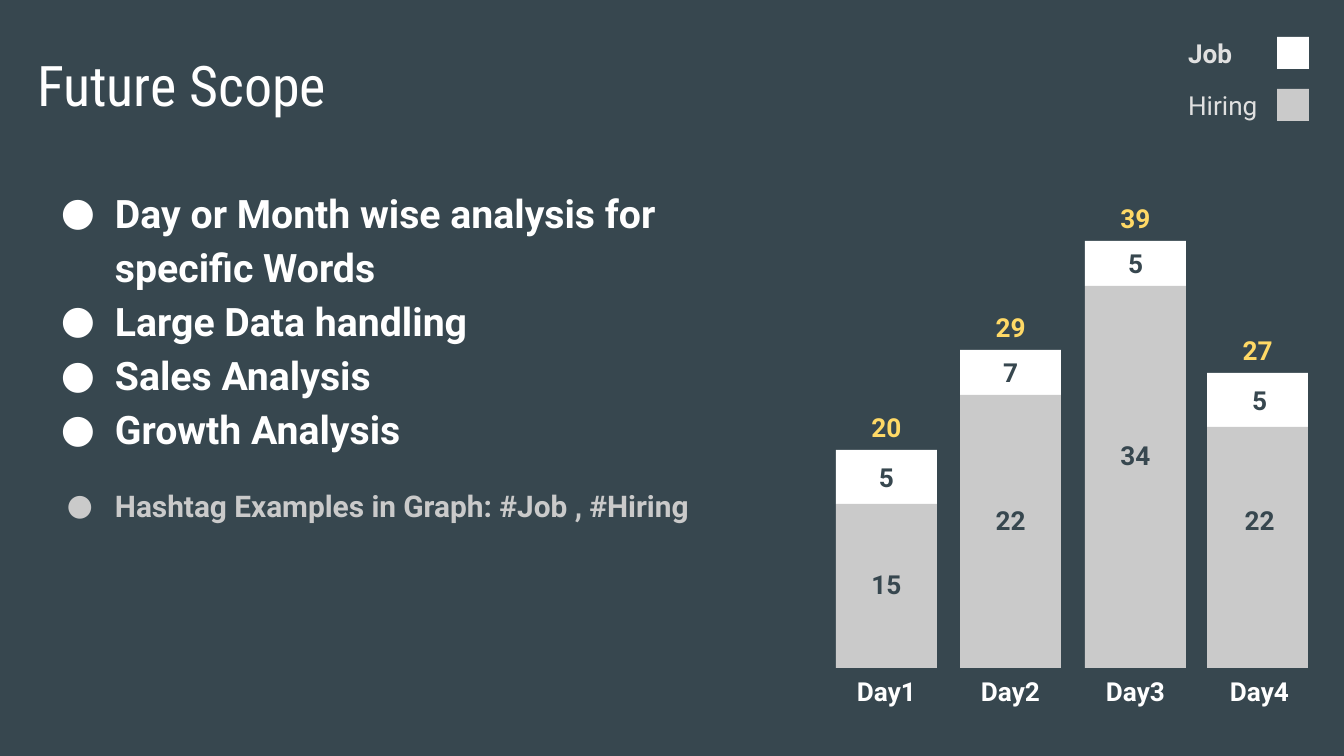
from dataclasses import dataclass

import lxml.etree
import pptx
import pptx.dml.color
import pptx.enum.shapes
import pptx.enum.text
import pptx.oxml.ns
import pptx.util

RGBColor = pptx.dml.color.RGBColor
Align = pptx.enum.text.PP_ALIGN
Anchor = pptx.enum.text.MSO_ANCHOR

SLATE = RGBColor(0x37, 0x47, 0x4F)
WHITE = RGBColor(0xFF, 0xFF, 0xFF)
GREY = RGBColor(0xCA, 0xCA, 0xCA)
PALE = RGBColor(0xE0, 0xE0, 0xE0)
YELLOW = RGBColor(0xFF, 0xD9, 0x66)

EMU_PER_PX = 9144000 / 1344
INSET = 13
BAR_WIDTH = 101
BASELINE = 668
LABEL_HEIGHT = 46
FIRST_SLOT = 836
SLOT_STEP = 124.4


@dataclass
class Bullet:
    text: str
    size: int
    color: RGBColor
    hanging: int
    space_before: int = 0


@dataclass
class LegendEntry:
    text: str
    top: int
    width: int
    color: RGBColor
    bold: bool


@dataclass
class DayBar:
    day: str
    left: int
    job: int
    hiring: int
    top: int
    split: int
    hiring_label_top: int


BULLETS = [
    Bullet("Day or Month wise analysis for specific Words", 21, WHITE, 54),
    Bullet("Large Data handling", 21, WHITE, 54),
    Bullet("Sales Analysis", 21, WHITE, 54),
    Bullet("Growth Analysis", 21, WHITE, 54),
    Bullet("Hashtag Examples in Graph: #Job , #Hiring", 16, GREY, 48, 16),
]
LEGEND = [
    LegendEntry("Job", 37, 77, WHITE, True),
    LegendEntry("Hiring", 89, 101, GREY, False),
]
BARS = [
    DayBar("Day1", 836, 5, 15, 450, 504, 561),
    DayBar("Day2", 960, 7, 22, 350, 395, 497),
    DayBar("Day3", 1085, 5, 34, 241, 286, 432),
    DayBar("Day4", 1207, 5, 22, 373, 427, 497),
]


def px(length: float) -> int:
    return round(length * EMU_PER_PX)


def add_frame(slide, left: int, top: int, width: int, height: int):
    box = slide.shapes.add_textbox(px(left), px(top), px(width), px(height))
    frame = box.text_frame
    frame.word_wrap = True
    frame.margin_left = frame.margin_right = px(INSET)
    frame.margin_top = frame.margin_bottom = px(INSET)
    return frame


def set_font(paragraph, size: int, color: RGBColor, bold: bool = True,
             name: str = "Roboto") -> None:
    font = paragraph.font
    font.name = name
    font.size = pptx.util.Pt(size)
    font.bold = bold
    font.color.rgb = color


def add_label(slide, text: str, left: int, top: int, color: RGBColor,
              width: int = BAR_WIDTH, height: int = LABEL_HEIGHT,
              align: Align = Align.CENTER, bold: bool = True) -> None:
    frame = add_frame(slide, left, top, width, height)
    frame.vertical_anchor = Anchor.MIDDLE
    paragraph = frame.paragraphs[0]
    paragraph.text = text
    paragraph.alignment = align
    set_font(paragraph, 14, color, bold)


def add_block(slide, left: int, top: int, width: int, height: int,
              color: RGBColor) -> None:
    shape = slide.shapes.add_shape(
        pptx.enum.shapes.MSO_SHAPE.RECTANGLE,
        px(left), px(top), px(width), px(height))
    shape.shadow.inherit = False
    shape.fill.solid()
    shape.fill.fore_color.rgb = color
    shape.line.fill.background()


def add_bullet(paragraph, bullet: Bullet) -> None:
    paragraph.text = bullet.text
    paragraph.line_spacing = 1.15
    paragraph.space_before = pptx.util.Pt(bullet.space_before)
    set_font(paragraph, bullet.size, bullet.color)
    properties = paragraph._p.get_or_add_pPr()
    properties.set("marL", str(px(67)))
    properties.set("indent", str(-px(bullet.hanging)))
    # Bullet elements stand before the default run properties
    qn = pptx.oxml.ns.qn
    color = lxml.etree.Element(qn("a:buClr"))
    lxml.etree.SubElement(color, qn("a:srgbClr"), val=str(bullet.color))
    font = lxml.etree.Element(qn("a:buFont"), typeface="Roboto")
    character = lxml.etree.Element(qn("a:buChar"), char="●")
    default_run = properties.find(qn("a:defRPr"))
    for element in (color, font, character):
        default_run.addprevious(element)


def add_legend_entry(slide, entry: LegendEntry) -> None:
    add_label(slide, entry.text, 1175, entry.top, PALE, entry.width, 32,
              Align.LEFT, entry.bold)
    add_block(slide, 1277, entry.top, 32, 32, entry.color)


def add_day_bar(slide, index: int, bar: DayBar) -> None:
    slot = round(FIRST_SLOT + index * SLOT_STEP)
    job_label_top = (bar.top + bar.split - LABEL_HEIGHT) // 2
    add_block(slide, bar.left, bar.top, BAR_WIDTH, bar.split - bar.top, WHITE)
    add_block(slide, bar.left, bar.split, BAR_WIDTH, BASELINE - bar.split, GREY)
    add_label(slide, bar.day, slot, BASELINE, WHITE)
    add_label(slide, str(bar.job + bar.hiring), bar.left,
              bar.top - LABEL_HEIGHT, YELLOW)
    add_label(slide, str(bar.job), slot, job_label_top, SLATE)
    add_label(slide, str(bar.hiring), slot, bar.hiring_label_top, SLATE)


def main() -> None:
    presentation = pptx.Presentation()
    presentation.slide_width = px(1344)
    presentation.slide_height = px(756)
    slide = presentation.slides.add_slide(presentation.slide_layouts[6])
    slide.background.fill.solid()
    slide.background.fill.fore_color.rgb = SLATE

    # Title
    title = add_frame(slide, 24, 38, 849, 85).paragraphs[0]
    title.text = "Future Scope"
    set_font(title, 30, WHITE, False, "Roboto Condensed")

    # Bullet list
    frame = add_frame(slide, 35, 169, 778, 331)
    for index, bullet in enumerate(BULLETS):
        paragraph = frame.add_paragraph() if index else frame.paragraphs[0]
        add_bullet(paragraph, bullet)

    # Legend
    for entry in LEGEND:
        add_legend_entry(slide, entry)

    # Stacked bars
    for index, bar in enumerate(BARS):
        add_day_bar(slide, index, bar)

    presentation.save("out.pptx")


if __name__ == "__main__":
    main()
